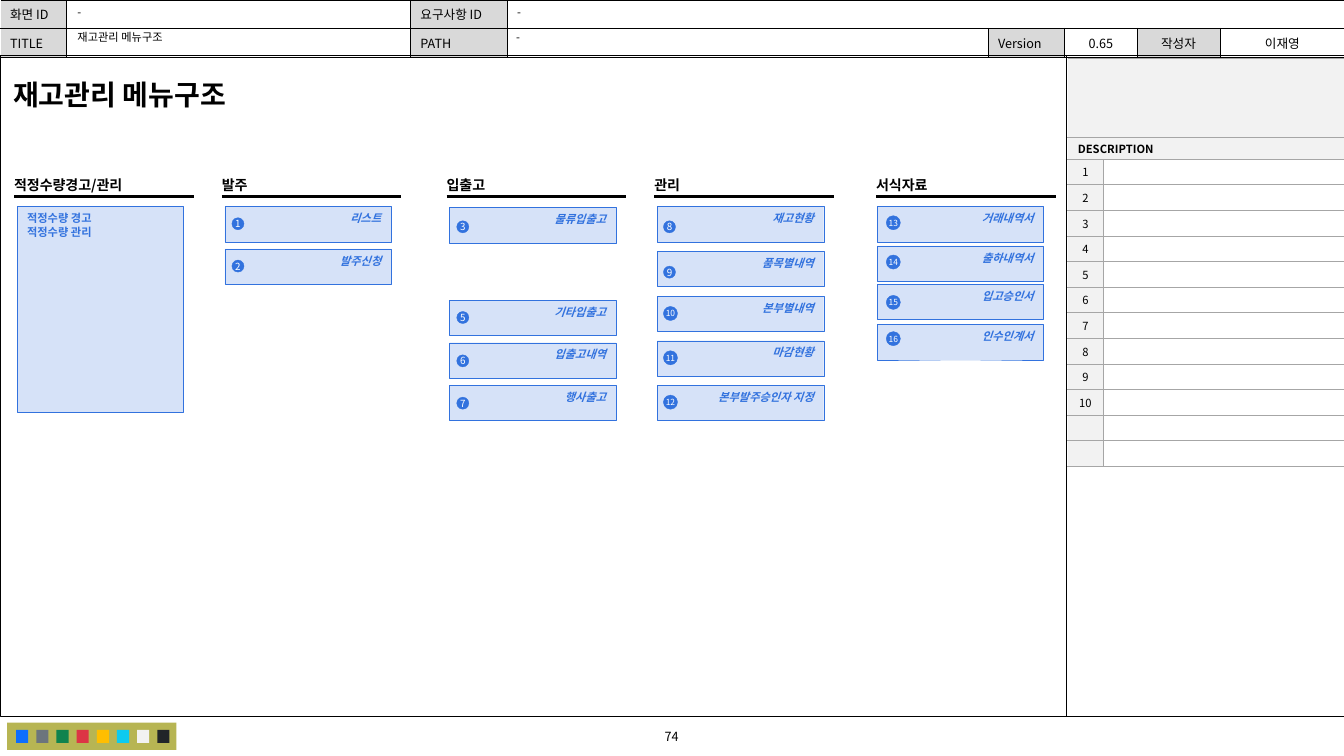
from dataclasses import dataclass

from lxml.etree import SubElement
from pptx import Presentation
from pptx.dml.color import RGBColor
from pptx.enum.shapes import MSO_CONNECTOR, MSO_SHAPE
from pptx.enum.text import MSO_ANCHOR, MSO_AUTO_SIZE, PP_ALIGN
from pptx.oxml import parse_xml
from pptx.oxml.ns import nsdecls, qn
from pptx.util import Inches, Pt


@dataclass(frozen=True)
class Theme:
    font: str = "Noto Sans CJK KR"
    ink: str = "000000"
    paper: str = "FFFFFF"
    label: str = "D9D9D9"
    pale: str = "F2F2F2"
    grid: str = "A6A6A6"
    blue: str = "3272DE"
    palette: str = "B7B553"
    swatches: tuple = ("0D6EFD", "6C757D", "10834E", "DC3545",
                       "FFBE00", "0DCAF0", "F2F2F2", "212529")
    title: int = 20
    heading: int = 10
    meta: int = 9
    body: int = 8
    badge: int = 7
    badge_small: int = 6


theme = Theme()
presentation = Presentation()
presentation.slide_width, presentation.slide_height = Inches(13.33), Inches(7.5)
slide = presentation.slides.add_slide(presentation.slide_layouts[6])
shapes = slide.shapes


def write(frame, text, size, color=theme.ink, align=PP_ALIGN.LEFT, spacing=None,
          bold=False, italic=False, **frame_format):
    """Fill a text frame, one paragraph per line, with a single format."""
    for name, value in frame_format.items():
        setattr(frame, name, value)
    frame.text = text
    for paragraph in frame.paragraphs:
        paragraph.alignment = align
        paragraph.line_spacing = spacing
        for run in paragraph.runs:
            font_format = {"name": theme.font, "size": Pt(size), "bold": bold, "italic": italic}
            for name, value in font_format.items():
                setattr(run.font, name, value)
            run.font.color.rgb = RGBColor.from_string(color)
            SubElement(run.font._element, qn("a:ea"), typeface=theme.font)
        if not paragraph.runs:
            SubElement(paragraph._p, qn("a:endParaRPr"), sz=str(size * 100))


def add_block(kind, box, fill=None, line=None, alpha=None):
    block = shapes.add_shape(kind, *map(Inches, box))
    block.shadow.inherit = False
    if fill:
        block.fill.solid()
        block.fill.fore_color.rgb = RGBColor.from_string(fill)
    else:
        block.fill.background()
    if alpha:
        color = block._element.spPr.find(".//" + qn("a:srgbClr"))
        SubElement(color, qn("a:alpha"), val=str(alpha * 1000))
    if line:
        block.line.color.rgb = RGBColor.from_string(line)
        block.line.width = Pt(0.25)
    else:
        block.line.fill.background()
    return block


# Screen header and description tables
tables = [
    {"at": (0, 0), "cols": [0.66, 3.41, 0.96, 4.77, 0.76, 0.72, 0.82, 1.24],
     "rows": [0.28, 0.29], "merges": [(0, 3, 7)], "labels": (0, 2, 4, 6), "centred": (5, 6, 7),
     "fills": (theme.label, theme.paper), "grid": theme.ink, "size": theme.meta, "bold_row": None,
     "texts": [["화면 ID", "", "요구사항 ID"],
               ["TITLE", "", "PATH", "", "Version", "0.65", "작성자", "이재영"]]},
    {"at": (10.59, 0.58), "cols": [0.35, 2.39],
     "rows": [0.78, 0.22] + [(4.63 - 1.58) / 12] * 12, "merges": [(0, 0, 1), (1, 0, 1)],
     "labels": (0,), "centred": (0,),
     "fills": (theme.pale, None), "grid": theme.grid, "size": theme.body, "bold_row": 1,
     "texts": [[], ["DESCRIPTION"]] + [[str(n)] for n in range(1, 11)] + [[], []]},
]
for spec in tables:
    size = (sum(spec["cols"]), sum(spec["rows"]))
    table = shapes.add_table(len(spec["rows"]), len(spec["cols"]),
                             *map(Inches, spec["at"] + size)).table
    table.first_row = table.horz_banding = False
    for column, width in zip(table.columns, spec["cols"]):
        column.width = Inches(width)
    for row, height in zip(table.rows, spec["rows"]):
        row.height = Inches(height)
    for r, first, last in spec["merges"]:
        table.cell(r, first).merge(table.cell(r, last))
    for r, texts in enumerate(spec["texts"]):
        for c in range(len(spec["cols"])):
            cell = table.cell(r, c)
            cell.vertical_anchor = MSO_ANCHOR.MIDDLE
            cell.margin_top = cell.margin_bottom = 0
            centred = c in spec["centred"] and not cell.is_merge_origin
            write(cell.text_frame, texts[c] if c < len(texts) else "", spec["size"],
                  align=PP_ALIGN.CENTER if centred else PP_ALIGN.LEFT, bold=r == spec["bold_row"])
            fill = spec["fills"][0 if c in spec["labels"] and not cell.is_spanned else 1]
            if fill:
                cell.fill.solid()
                cell.fill.fore_color.rgb = RGBColor.from_string(fill)
            else:
                cell.fill.background()
            for i, side in enumerate("LRTB" if c else "RTB"):
                cell._tc.get_or_add_tcPr().insert(i, parse_xml(
                    f'<a:ln{side} {nsdecls("a")} w="6350"><a:solidFill>'
                    f'<a:srgbClr val="{spec["grid"]}"/></a:solidFill></a:ln{side}>'))

# Page frame and colour palette
add_block(MSO_SHAPE.RECTANGLE, (0, 0.55, 13.33, 6.56), line=theme.ink)
add_block(MSO_SHAPE.RECTANGLE, (0.07, 7.17, 1.68, 0.27), theme.palette)
for i, swatch in enumerate(theme.swatches):
    add_block(MSO_SHAPE.RECTANGLE, (0.16 + 0.2 * i, 7.24, 0.12, 0.13), swatch)

# Menu sections: heading, left edge, heading width, card left, badge left,
# then cards as number, label, top, badge top
sections = [
    ("적정수량경고/관리", 0.14, 1.18, 0.17, None, []),
    ("발주", 2.2, 0.28, 2.23, 2.3, [(1, "리스트", 2.05, 2.16), (2, "발주신청", 2.47, 2.58)]),
    ("입출고", 4.43, 0.42, 4.46, 4.53, [
        (3, "물류입출고", 2.06, 2.19), (5, "기타입출고", 2.98, 3.09),
        (6, "입출고내역", 3.4, 3.52), (7, "행사출고", 3.82, 3.94)]),
    ("관리", 6.49, 0.28, 6.52, 6.58, [
        (8, "재고현황", 2.05, 2.19), (9, "품목별내역", 2.49, 2.64), (10, "본부별내역", 2.94, 3.04),
        (11, "마감현황", 3.38, 3.48), (12, "본부발주승인자 지정", 3.82, 3.92)]),
    ("서식자료", 8.69, 0.56, 8.7, 8.79, [
        (13, "거래내역서", 2.05, 2.14), (14, "출하내역서", 2.44, 2.53),
        (15, "입고승인서", 2.82, 2.93), (16, "인수인계서", 3.22, 3.29)]),
]
warning = add_block(MSO_SHAPE.RECTANGLE, (0.17, 2.05, 1.65, 2.04), theme.blue, theme.blue, 20)
write(warning.text_frame, "적정수량 경고\n적정수량 관리", theme.body, theme.blue, bold=True,
      vertical_anchor=MSO_ANCHOR.TOP)
for *_, card_left, badge_left, cards in sections:
    for number, label, top, badge_top in cards:
        card = add_block(MSO_SHAPE.RECTANGLE, (card_left, top, 1.65, 0.35),
                         theme.blue, theme.blue, 20)
        write(card.text_frame, label, theme.body, theme.blue, PP_ALIGN.RIGHT, bold=True,
              italic=True, vertical_anchor=MSO_ANCHOR.TOP)
        diameter, size = (0.12, theme.badge) if number < 10 else (0.14, theme.badge_small)
        badge = add_block(MSO_SHAPE.OVAL, (badge_left, badge_top, diameter, diameter),
                          theme.blue, theme.blue)
        write(badge.text_frame, str(number), size, theme.paper, PP_ALIGN.CENTER, word_wrap=False,
              vertical_anchor=MSO_ANCHOR.MIDDLE, margin_left=0, margin_right=0)

# Divider and section rules
rules = [(10.58, 0.56, 10.58, 7.11, 0.5)]
rules += [(left, 1.95, left + 1.78, 1.95, 2.25) for _, left, *_ in sections]
for *ends, weight in rules:
    rule = shapes.add_connector(MSO_CONNECTOR.STRAIGHT, *map(Inches, ends))
    rule.line.color.rgb = RGBColor.from_string(theme.ink)
    rule.line.width = Pt(weight)
    SubElement(rule._element.spPr, qn("a:effectLst"))

# Free-standing text: wording, box, format
heading = {"size": theme.heading, "bold": True, "word_wrap": False,
           "auto_size": MSO_AUTO_SIZE.SHAPE_TO_FIT_TEXT, "margin_left": 0, "margin_right": 0}
entry = {"size": theme.body, "spacing": 0.9, "word_wrap": True,
         "vertical_anchor": MSO_ANCHOR.MIDDLE}
texts = [
    ("재고관리 메뉴구조", (0.13, 0.77, 2.34, 0.34), heading | {"size": theme.title}),
    ("-", (0.67, 0.01, 3.4, 0.23), entry),
    ("-", (5.03, 0.01, 8.29, 0.23), entry),
    ("재고관리 메뉴구조", (0.67, 0.28, 3.38, 0.2), entry),
    ("-", (5.02, 0.26, 4.74, 0.23), entry),
    ("74", (5.37, 7.19, 2.58, 0.25), entry | {"size": theme.meta, "align": PP_ALIGN.CENTER}),
]
texts += [(name, (left, 1.75, width, 0.17), heading) for name, left, width, *_ in sections]
for text, box, text_format in texts:
    write(shapes.add_textbox(*map(Inches, box)).text_frame, text,
          margin_top=0, margin_bottom=0, **text_format)

presentation.save("out.pptx")
